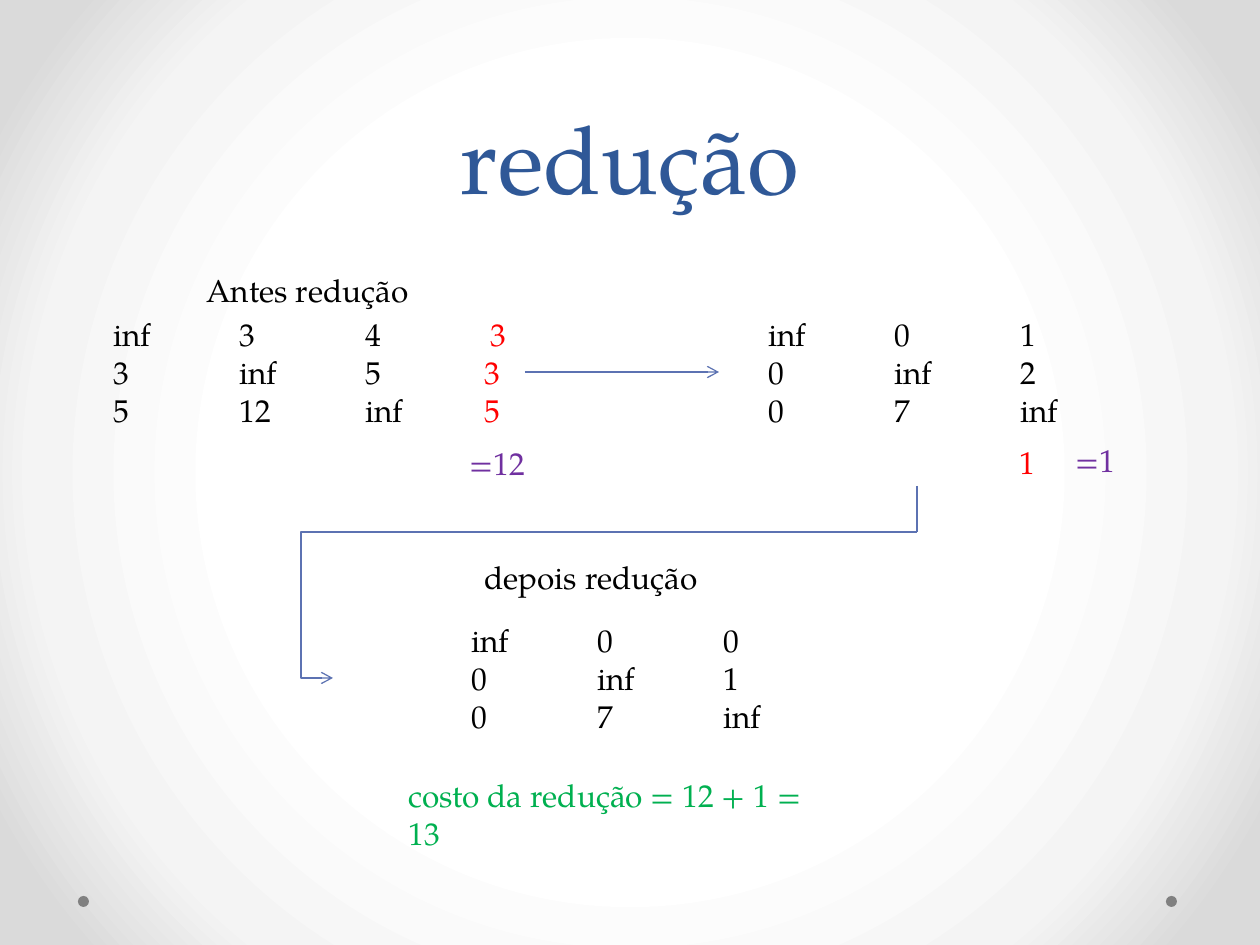
from lxml import etree
from pptx import Presentation
from pptx.dml.color import RGBColor
from pptx.enum.shapes import MSO_CONNECTOR, MSO_SHAPE
from pptx.enum.text import MSO_ANCHOR, MSO_AUTO_SIZE, PP_ALIGN
from pptx.oxml import parse_xml
from pptx.oxml.ns import nsdecls, qn
from pptx.util import Pt

STRAIGHT, ELBOW = MSO_CONNECTOR.STRAIGHT, MSO_CONNECTOR.ELBOW
OVAL = MSO_SHAPE.OVAL
BOTTOM = MSO_ANCHOR.BOTTOM
FIT_SHAPE, NO_FIT = MSO_AUTO_SIZE.SHAPE_TO_FIT_TEXT, MSO_AUTO_SIZE.NONE
CENTER = PP_ALIGN.CENTER

PX_PER_INCH = 126
EMU_PER_INCH = 914400
TITLE_ONLY = 5
FONT = "TeX Gyre Pagella"
COLORS = {
    "title": "2F5897",
    "text": "000000",
    "minimum": "FF0000",
    "sum": "7030A0",
    "cost": "00B050",
    "arrow": "5C72B2",
    "dot": "808080",
}
BACKDROP = [(50, "FFFFFF"), (76, "F4F4F4"), (92, "DADADA")]


def px(length):
    return round(length * EMU_PER_INCH / PX_PER_INCH)


def rgb(name):
    return RGBColor.from_string(COLORS[name])


class SlideBuilder:
    def __init__(self, slide):
        self.slide = slide

    def background(self, stops):
        gradient = "".join(
            f'<a:gs pos="{percent * 1000}"><a:srgbClr val="{color}"/></a:gs>'
            for percent, color in stops
        )
        self.slide.element.cSld.insert(0, parse_xml(
            f'<p:bg {nsdecls("p", "a")}><p:bgPr><a:gradFill rotWithShape="1">'
            f'<a:gsLst>{gradient}</a:gsLst><a:path path="circle">'
            '<a:fillToRect l="50000" t="50000" r="50000" b="50000"/></a:path>'
            '</a:gradFill><a:effectLst/></p:bgPr></p:bg>'
        ))

    def style(self, paragraph, size, color):
        for run in paragraph.runs:
            run.font.name = FONT
            run.font.size = Pt(size)
            run.font.color.rgb = rgb(color)

    def title(self, text, left, top, width, height):
        heading = self.slide.shapes.title
        heading.left, heading.top = px(left), px(top)
        heading.width, heading.height = px(width), px(height)
        frame = heading.text_frame
        frame.text = text
        frame.vertical_anchor = BOTTOM
        frame.auto_size = NO_FIT
        paragraph = frame.paragraphs[0]
        paragraph.alignment = CENTER
        paragraph.line_spacing = Pt(58)
        self.style(paragraph, 54, "title")

    def text(self, text, left, top, width, height=50, color="text"):
        box = self.slide.shapes.add_textbox(px(left), px(top), px(width), px(height))
        frame = box.text_frame
        frame.text = text
        frame.word_wrap = True
        frame.auto_size = FIT_SHAPE
        for paragraph in frame.paragraphs:
            self.style(paragraph, 18, color)
        return frame

    def matrix(self, rows, left, top):
        lines = ["".join(f"\t{value}" for value in row) for row in rows]
        frame = self.text("\n".join(lines), left, top, 514, 127)
        for paragraph in frame.paragraphs:
            stops = etree.SubElement(paragraph._p.get_or_add_pPr(), qn("a:tabLst"))
            for column in range(1, len(rows[0]) + 1):
                etree.SubElement(stops, qn("a:tab"),
                                 pos=str(column * EMU_PER_INCH), algn="l")

    def connector(self, start, end, kind=STRAIGHT, arrow=True, bend=None):
        line = self.slide.shapes.add_connector(
            kind, *(px(value) for value in (*start, *end)))
        line.line.color.rgb = rgb("arrow")
        line.line.width = Pt(0.75)
        properties = line.element.spPr
        if arrow:
            etree.SubElement(properties.find(qn("a:ln")), qn("a:tailEnd"), type="arrow")
        if bend:
            adjustments = properties.find(qn("a:prstGeom")).find(qn("a:avLst"))
            etree.SubElement(adjustments, qn("a:gd"), name="adj1", fmla=f"val {bend}")
        etree.SubElement(properties, qn("a:effectLst"))

    def dot(self, left, top, size):
        dot = self.slide.shapes.add_shape(OVAL, px(left), px(top), px(size), px(size))
        dot.shadow.inherit = False
        dot.fill.solid()
        dot.fill.fore_color.rgb = rgb("dot")
        dot.line.fill.background()


def main():
    deck = Presentation()
    deck.slide_width, deck.slide_height = px(1260), px(945)
    page = SlideBuilder(deck.slides.add_slide(deck.slide_layouts[TITLE_ONLY]))
    page.background(BACKDROP)
    for left in (1166, 78):
        page.dot(left, 896, 11)
    page.title("redução", 63, 0, 1134, 220)

    page.matrix([["inf", 3, 4], [3, "inf", 5], [5, 12, "inf"]], -25, 309)
    page.matrix([["inf", 0, 1], [0, "inf", 2], [0, 7, "inf"]], 630, 309)
    page.matrix([["inf", 0, 0], [0, "inf", 1], [0, 7, "inf"]], 333, 615)

    minimums = [("3", 478, 309), ("3", 472, 347), ("5", 472, 385), ("1", 1007, 437)]
    for minimum, left, top in minimums:
        page.text(minimum, left, top, 52, color="minimum")
    for total, left, top in [("=12", 457, 438), ("=1", 1063, 435)]:
        page.text(total, left, top, 83, color="sum")
    page.text("costo da redução = 12 + 1 = 13", 396, 770, 451, color="cost")
    page.text("Antes redução", 194, 265, 258)
    page.text("depois redução", 472, 552, 258)

    page.connector((525, 372), (719, 372))
    page.connector((917, 532), (333, 678), kind=ELBOW, bend=105500)
    page.connector((917, 486), (917, 532), arrow=False)
    deck.save("out.pptx")


if __name__ == "__main__":
    main()
